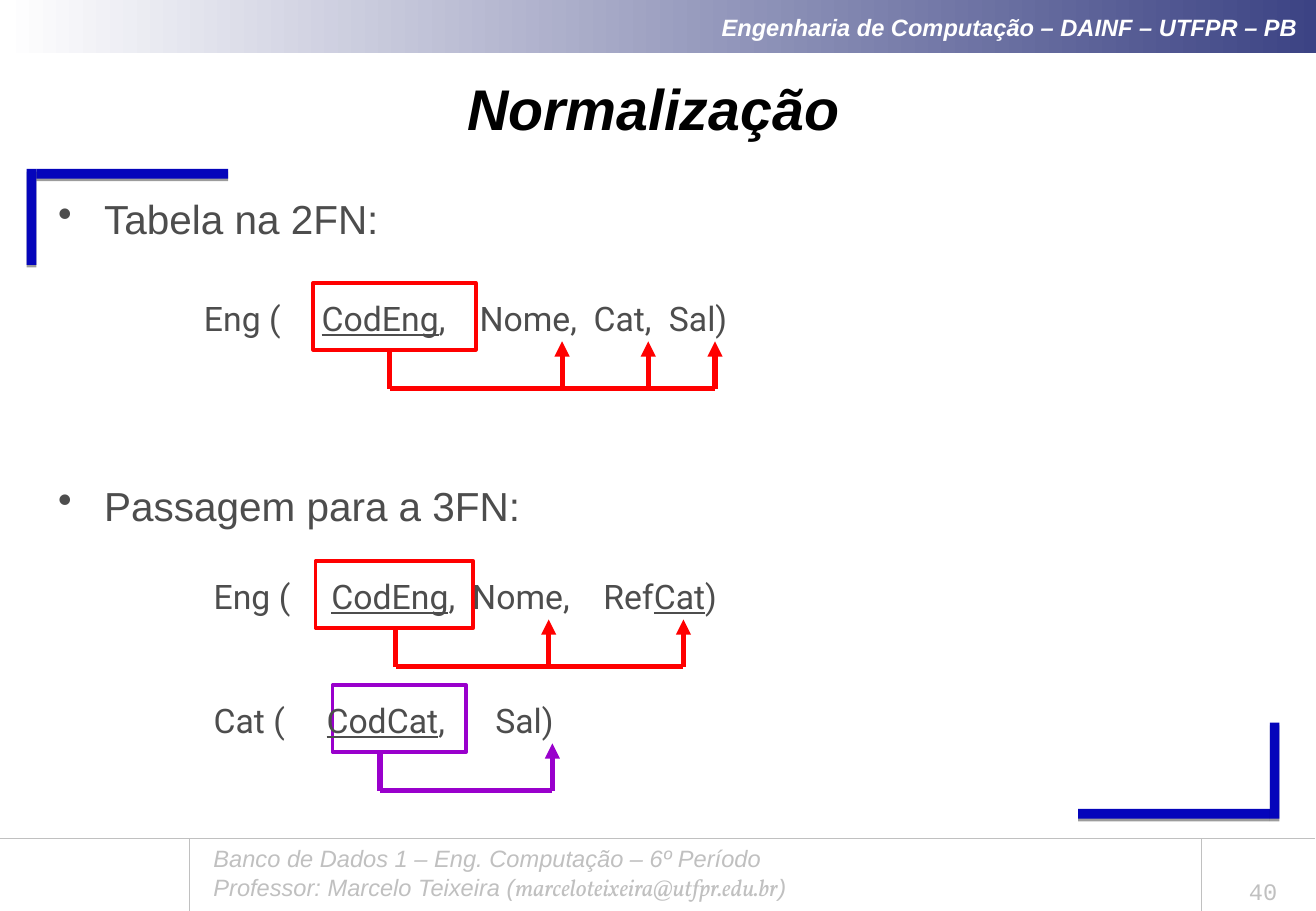
import pptx
import pptx.util
import pptx.dml.color
import pptx.enum.shapes
import pptx.enum.text
import pptx.oxml
import pptx.oxml.ns

Inches = pptx.util.Inches
Pt = pptx.util.Pt
Align = pptx.enum.text.PP_ALIGN
Anchor = pptx.enum.text.MSO_ANCHOR
RECT = pptx.enum.shapes.MSO_SHAPE.RECTANGLE
LINE = pptx.enum.shapes.MSO_CONNECTOR.STRAIGHT

NAVY, RED, PLUM, GRAY, DARK = "0505BB", "FF0000", "9900CC", "C0C0C0", "4D4D4D"
HEAD = {"name": "Arial", "size": Pt(14), "bold": True, "italic": True, "color": "FFFFFF"}
TITLE = {"name": "Arial", "size": Pt(34), "bold": True, "italic": True, "color": "000000"}
BODY = {"name": "Arial", "size": Pt(24), "color": DARK}
FOOT = {"name": "Arial", "size": Pt(14), "italic": True, "color": GRAY}
MAIL = {**FOOT, "name": "Vollkorn"}
PAGE = {"name": "Courier New", "size": Pt(14), "color": GRAY}
CODE = {"name": "Roboto", "size": Pt(20), "color": DARK}
KEY = {**CODE, "underline": True}


def color(code):
    return pptx.dml.color.RGBColor.from_string(code)


def add_xml(parent, tag, inner="", **attrs):
    pairs = " ".join(f'{name}="{value}"' for name, value in attrs.items())
    space = pptx.oxml.ns.nsdecls("a")
    parent.append(pptx.oxml.parse_xml(f"<a:{tag} {space} {pairs}>{inner}</a:{tag}>"))


def style(run, form):
    for name, value in form.items():
        if name == "color":
            run.font.color.rgb = color(value)
        else:
            setattr(run.font, name, value)


def write(frame, lines, align=Align.LEFT, anchor=Anchor.TOP, inset=(0.1, 0.05), tabs=(), bullet=False):
    side, edge = map(Inches, inset)
    form = {"word_wrap": True, "vertical_anchor": anchor, "margin_left": side,
            "margin_right": side, "margin_top": edge, "margin_bottom": edge}
    for name, value in form.items():
        setattr(frame, name, value)
    for index, parts in enumerate(lines):
        para = frame.add_paragraph() if index else frame.paragraphs[0]
        para.alignment = align
        props = para._p.get_or_add_pPr()
        if bullet:
            props.set("marL", str(Inches(0.38)))
            props.set("indent", str(Inches(-0.38)))
            add_xml(props, "buChar", char="•")
        if tabs:
            stops = "".join(f'<a:tab pos="{Inches(stop)}" algn="l"/>' for stop in tabs)
            add_xml(props, "tabLst", stops)
        for text, form in parts:
            run = para.add_run()
            run.text = text
            style(run, form)


def add_text(slide, box, lines, **form):
    write(slide.shapes.add_textbox(*map(Inches, box)).text_frame, lines, **form)


def add_rect(slide, box):
    shape = slide.shapes.add_shape(RECT, *map(Inches, box))
    shape.shadow.inherit = False
    return shape


def add_line(slide, start, end, code, width, arrow=False):
    line = slide.shapes.add_connector(LINE, *map(Inches, (*start, *end)))
    line.line.color.rgb = color(code)
    line.line.width = Pt(width)
    if arrow:
        add_xml(line.line._get_or_add_ln(), "tailEnd", type="triangle")
    add_xml(line._element.spPr, "effectLst")


def add_head(slide, box):
    bar = add_rect(slide, box)
    bar.line.fill.background()
    bar.fill.gradient()
    bar.fill.gradient_angle = 0
    for stop, code, place in zip(bar.fill.gradient_stops, ("FFFFFF", "3C4384"), (0, 1)):
        stop.color.rgb = color(code)
        stop.position = place
    write(bar.text_frame, [[("Engenharia de Computação – DAINF – UTFPR – PB", HEAD)]],
          align=Align.RIGHT, anchor=Anchor.MIDDLE, inset=(0.16, 0.05))


def add_frame(slide, box):
    left, top, width, height = box
    right, base = left + width, top + height
    thick, wide, tall = 0.08, 1.58, 0.79
    bars = [(left + thick, top, wide, thick), (left, top, thick, tall),
            (right - thick - wide, base - thick, wide, thick),
            (right - thick, base - tall, thick, tall)]
    shade = '<a:srgbClr val="000000"><a:alpha val="38000"/></a:srgbClr>'
    for place in bars:
        bar = add_rect(slide, place)
        bar.fill.solid()
        bar.fill.fore_color.rgb = color(NAVY)
        bar.line.fill.background()
        effects = bar._element.spPr.find(pptx.oxml.ns.qn("a:effectLst"))
        add_xml(effects, "outerShdw", shade, blurRad=0, dist=Pt(1.6), dir=5400000, rotWithShape=0)


def add_foot(slide, box):
    left, top, width, height = box
    for edge in (left + 1.56, left + 9.9):
        add_line(slide, (edge, top), (edge, top + height), GRAY, 0.75)
    add_line(slide, (left, top), (left + width, top), GRAY, 0.25)
    add_text(slide, (left + 1.66, top, 7.54, 0.57), [
        [("Banco de Dados 1 – Eng. Computação – 6º Período", FOOT)],
        [("Professor: Marcelo Teixeira (", FOOT),
         ("marceloteixeira@utfpr.edu.br", MAIL), (")", FOOT)]])
    add_text(slide, (left + 9.97, top + 0.21, 0.87, 0.39), [[("40", PAGE)]],
             align=Align.CENTER, anchor=Anchor.BOTTOM)


def add_title(slide, box):
    add_text(slide, box, [[("Normalização", TITLE)]], align=Align.CENTER, anchor=Anchor.MIDDLE)


def add_point(slide, box, text):
    add_text(slide, box, [[(text, BODY)]], bullet=True)


def add_table_map(slide, box, parts, tabs, key, stem, tips, code):
    left, top, width, height = box
    start, span = key
    mark = add_rect(slide, (left + start, top - 0.08, span, 0.55))
    mark.fill.background()
    mark.line.color.rgb = color(code)
    mark.line.width = Pt(2.25)
    base, root = top + 0.79, left + stem
    for tip in tips:
        add_line(slide, (left + tip, base), (left + tip, top + 0.4), code, 3, arrow=True)
    add_line(slide, (root, base), (left + max(tips), base), code, 3)
    add_line(slide, (root, top + 0.48), (root, base), code, 3)
    add_text(slide, box, [parts], inset=(0.04, 0.04), tabs=tabs)


def main():
    deck = pptx.Presentation()
    deck.slide_width, deck.slide_height = Inches(10.84), Inches(7.5)
    slide = deck.slides.add_slide(deck.slide_layouts[6])
    add_head(slide, (0.02, 0, 10.83, 0.44))
    add_frame(slide, (0.22, 1.39, 10.32, 5.35))
    add_foot(slide, (0, 6.9, 10.83, 0.6))
    add_title(slide, (0.22, 0.54, 10.32, 0.69))
    add_point(slide, (0.38, 1.55, 10, 0.63), "Tabela na 2FN:")
    add_point(slide, (0.38, 3.91, 10, 0.63), "Passagem para a 3FN:")
    add_table_map(slide, (1.64, 2.41, 4.8, 0.41),
                  [("Eng (\t", CODE), ("CodEng", KEY), (",\tNome,\tCat,\tSal)", CODE)],
                  (0.97, 2.27, 3.21, 3.83), (0.94, 1.34), 1.57, (2.99, 3.7, 4.25), RED)
    add_table_map(slide, (1.72, 4.7, 4.57, 0.41),
                  [("Eng (\t", CODE), ("CodEng", KEY), (",\tNome,\tRef", CODE),
                   ("Cat", KEY), (")", CODE)],
                  (0.97, 2.13, 3.21), (0.88, 1.3), 1.54, (2.8, 3.91), RED)
    add_table_map(slide, (1.72, 5.72, 4.17, 0.41),
                  [("Cat (\t", CODE), ("CodCat", KEY), (",\tSal)", CODE)],
                  (0.93, 2.32), (1.02, 1.1), 1.41, (2.83,), PLUM)
    deck.save("out.pptx")


if __name__ == "__main__":
    main()
